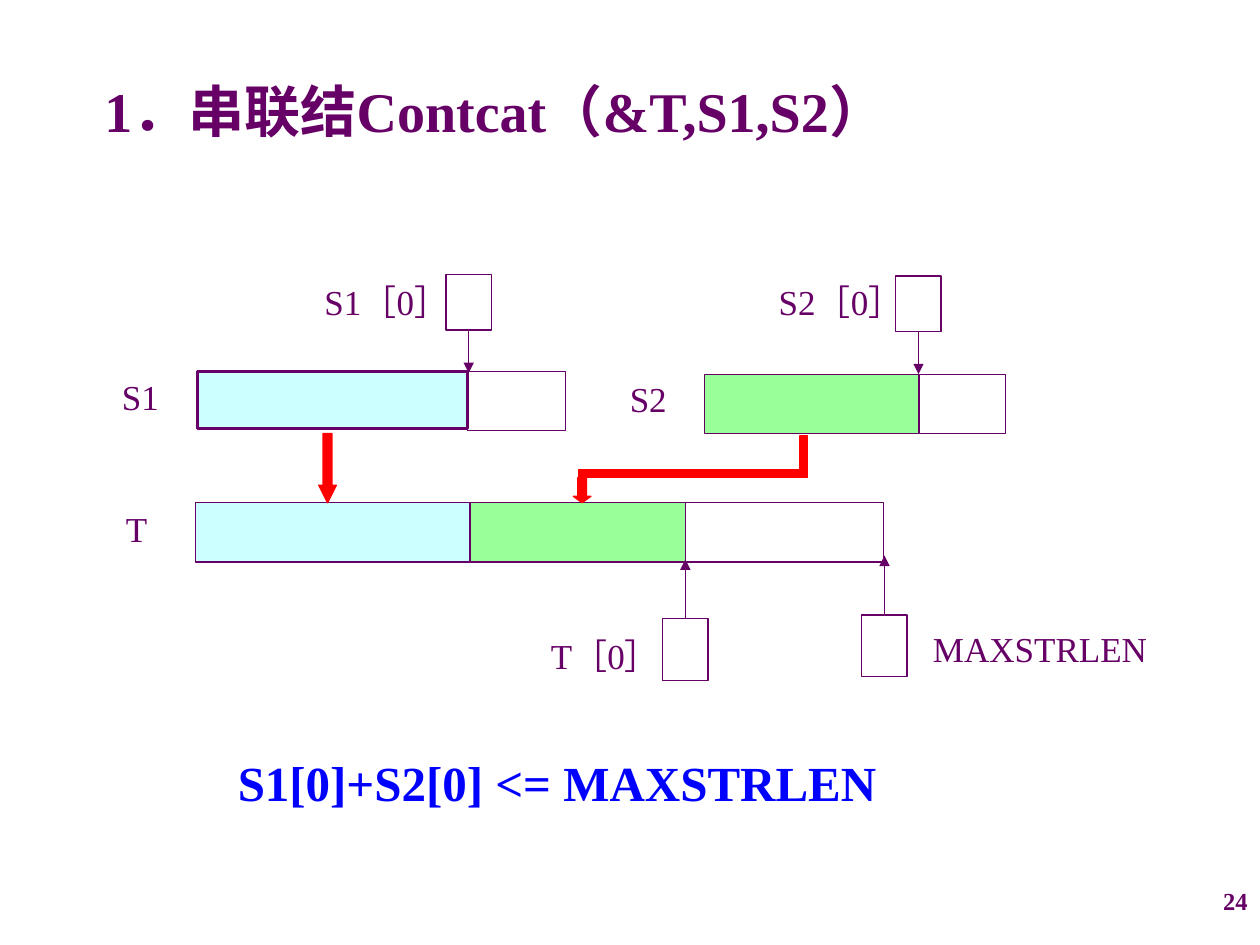
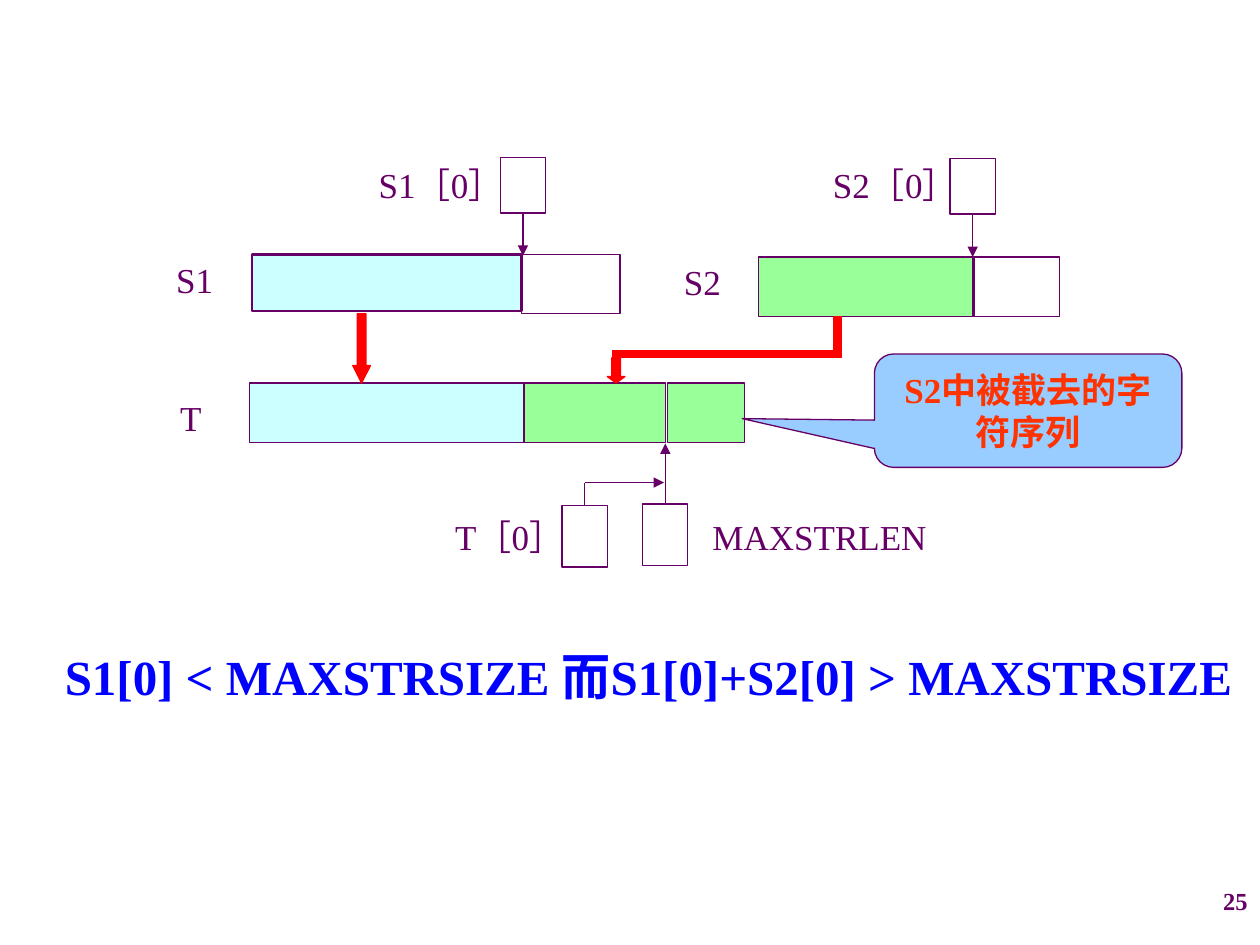
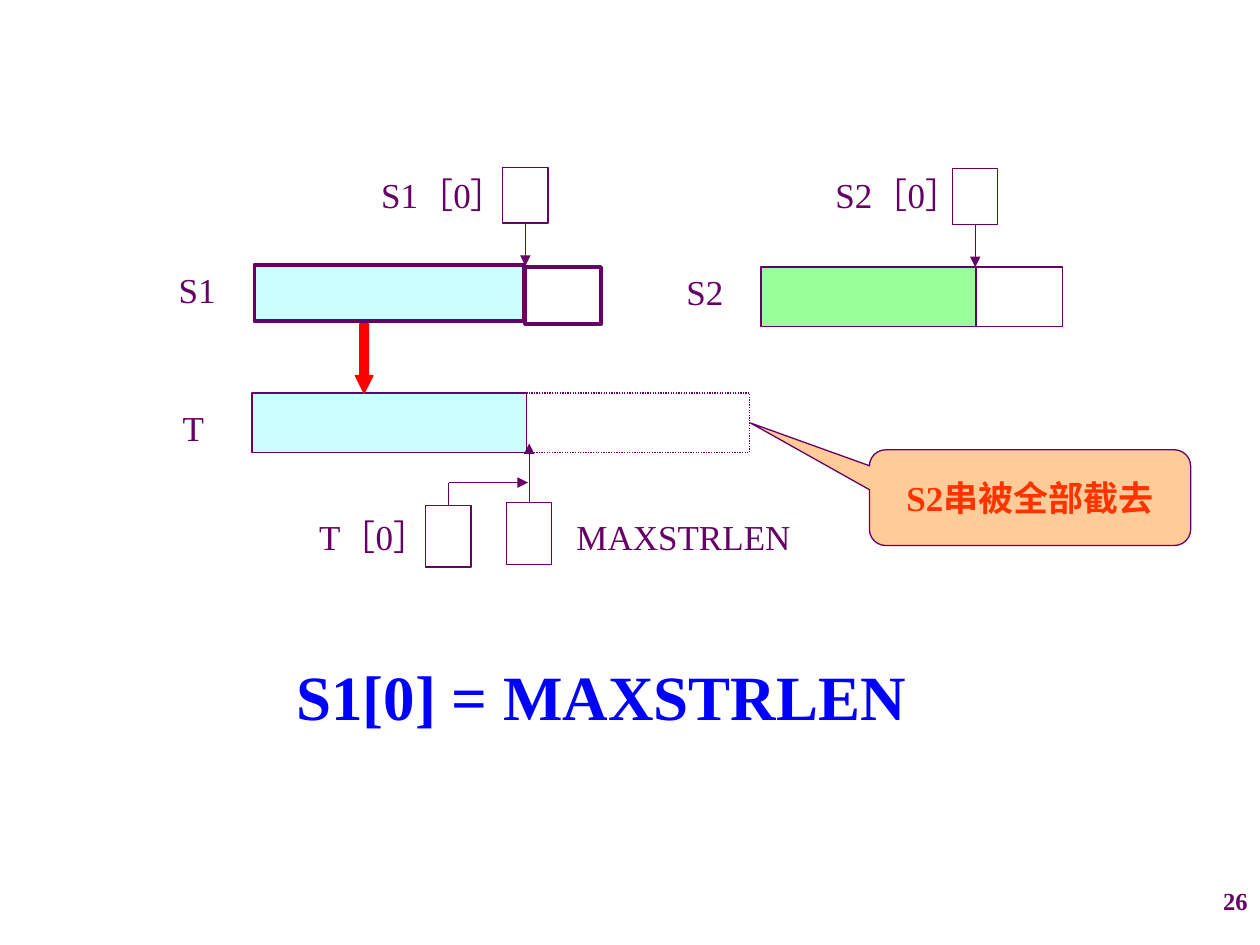
from pptx import Presentation
from pptx.dml.color import RGBColor
from pptx.enum.dml import MSO_LINE
from pptx.enum.shapes import MSO_CONNECTOR, MSO_SHAPE
from pptx.enum.text import MSO_ANCHOR, PP_ALIGN
from pptx.oxml.ns import qn
from pptx.util import Pt
from lxml import etree

PX = 9144
FONT = "Times New Roman"
PURPLE = RGBColor(0x66, 0x00, 0x66)
CYAN = RGBColor(0xCC, 0xFF, 0xFF)
GREEN = RGBColor(0x99, 0xFF, 0x99)
RED = RGBColor(0xFF, 0x00, 0x00)
BLUE = RGBColor(0x00, 0x00, 0xFF)
ORANGE = RGBColor(0xFF, 0x33, 0x00)
SKY = RGBColor(0x99, 0xCC, 0xFF)
PEACH = RGBColor(0xFF, 0xCC, 0x99)


def box(s, x, y, w, h, fill=None, width=0.75, kind=MSO_SHAPE.RECTANGLE, line=PURPLE, adj=()):
    sp = s.shapes.add_shape(kind, x * PX, y * PX, w * PX, h * PX)
    sp.shadow.inherit = False
    if fill is None:
        sp.fill.background()
    else:
        sp.fill.solid()
        sp.fill.fore_color.rgb = fill
    sp.line.color.rgb = line
    sp.line.width = Pt(width)
    for i, value in enumerate(adj):
        sp.adjustments[i] = value
    return sp


def write(sp, text, size=20, color=PURPLE, bold=False, align=PP_ALIGN.CENTER):
    tf = sp.text_frame
    tf.word_wrap = True
    p = tf.paragraphs[0]
    p.text = text
    p.alignment = align
    r = p.runs[0]
    r.font.name = FONT
    r.font.size = Pt(size)
    r.font.bold = bold
    r.font.color.rgb = color


prs = Presentation()
prs.slide_width = 1000 * PX
prs.slide_height = 750 * PX

# dx, dy move the S1 and S2 rows; the other values place the T row and its pointers.
cases = [
    dict(page="24", dx=0, dy=0, s1_width=1.5, spare=(371, 295, 78, 47), spare_width=0.75,
         t_x=155, t_y=399, t_label=398, t_bars=[(218, CYAN), (171, GREEN), (157, None)],
         arrow_x=253, elbow=True, t0=(544, 491, 410, 499), limit=(702, 488, 706, 493, 441),
         bent=False, formula=("S1[0]+S2[0] <= MAXSTRLEN", 145, 592, 594, 57, 28)),
    dict(page="25", dx=43, dy=-93, s1_width=1.5, spare=(414, 202, 78, 47), spare_width=0.75,
         t_x=198, t_y=304, t_label=310, t_bars=[(218, CYAN), (112, GREEN)],
         arrow_x=280, elbow=True, t0=(464, 401, 334, 404), limit=(528, 400, 531, 404, 352),
         bent=True,
         formula=("S1[0] < MAXSTRSIZE 而S1[0]+S2[0] > MAXSTRSIZE", 29, 508, 971, 57, 28)),
    dict(page="26", dx=45, dy=-85, s1_width=2.25, spare=(417, 212, 60, 45), spare_width=2.25,
         t_x=200, t_y=312, t_label=318, t_bars=[(218, CYAN)],
         arrow_x=282, elbow=False, t0=(356, 401, 226, 404), limit=(420, 399, 423, 404, 352),
         bent=True, formula=("S1[0] = MAXSTRLEN", 217, 517, 520, 70, 36)),
]

for c in cases:
    s = prs.slides.add_slide(prs.slide_layouts[6])
    dx, dy, t_y = c["dx"], c["dy"], c["t_y"]

    box(s, 157 + dx, 295 + dy, 214, 45, CYAN, c["s1_width"])
    box(s, *c["spare"], width=c["spare_width"])
    box(s, 559 + dx, 297 + dy, 171, 47, GREEN)
    box(s, 729 + dx, 297 + dy, 69, 47)

    x = c["t_x"]
    for w, fill in c["t_bars"]:
        box(s, x, t_y, w, 47, fill)
        x += w
    if c["page"] == "25":
        box(s, 530, t_y, 61, 47, GREEN)
    if c["page"] == "26":
        box(s, 418, t_y, 177, 47).line.dash_style = MSO_LINE.ROUND_DOT

    t0_x, t0_y, t0_label_x, t0_label_y = c["t0"]
    limit_x, limit_y, limit_label_x, limit_label_y, limit_tip = c["limit"]
    s1_cell = box(s, 354 + dx, 218 + dy, 36, 44)
    s2_cell = box(s, 711 + dx, 219 + dy, 36, 44)
    t0_cell = box(s, t0_x - 18, t0_y, 36, 49)
    limit_cell = box(s, limit_x - 18, limit_y, 36, 49)

    lines = [
        (s1_cell, 2, 372 + dx, 262 + dy, 372 + dx, 296 + dy, True),
        (s2_cell, 2, 729 + dx, 263 + dy, 729 + dx, 297 + dy, True),
        (limit_cell, 0, limit_x, limit_y, limit_x, limit_tip, True),
    ]
    if c["bent"]:
        lines += [(t0_cell, 0, t0_x, t0_y, t0_x, 383, False),
                  (None, 0, t0_x, 383, limit_x - 1, 383, True)]
    else:
        lines.append((t0_cell, 0, t0_x, t0_y, t0_x, 444, True))
    for cell, side, x1, y1, x2, y2, head in lines:
        cn = s.shapes.add_connector(MSO_CONNECTOR.STRAIGHT, x1 * PX, y1 * PX, x2 * PX, y2 * PX)
        if cell is not None:
            cn.begin_connect(cell, side)
        cn.line.color.rgb = PURPLE
        cn.line.width = Pt(0.75)
        if head:
            ln = cn.line._get_or_add_ln()
            etree.SubElement(ln, qn("a:tailEnd"), type="triangle")
        etree.SubElement(cn._element.spPr, qn("a:effectLst"))

    arrow_x = c["arrow_x"]
    box(s, arrow_x, t_y - 55, 14, 55, RED, kind=MSO_SHAPE.DOWN_ARROW, line=RED, adj=(0.5, 0.99))
    if c["elbow"]:
        box(s, arrow_x + 202, t_y - 20, 14, 20, RED, kind=MSO_SHAPE.DOWN_ARROW, line=RED,
            adj=(0.5, 0.36))
        box(s, arrow_x + 206, t_y - 26, 180, 6, RED, line=RED)
        box(s, arrow_x + 382, t_y - 53, 6, 33, RED, line=RED)

    labels = [
        ("S1", 82 + dx, 293 + dy, 59, 44),
        ("S2", 480 + dx, 295 + dy, 69, 44),
        ("T", 82 + dx, c["t_label"], 53, 44),
        ("S1［0］", 243 + dx, 218 + dy, 128, 77),
        ("S2［0］", 602 + dx, 218 + dy, 131, 77),
        ("T［0］", t0_label_x, t0_label_y, 141, 44),
        ("MAXSTRLEN", limit_label_x, limit_label_y, 239, 44),
        (*c["formula"], BLUE, True),
        (c["page"], 767, 698, 233, 52, 14, PURPLE, True, PP_ALIGN.RIGHT),
    ]
    if c["page"] == "24":
        labels.append(("1．串联结Contcat（&T,S1,S2）", 73, 56, 660, 117, 32, PURPLE, True,
                       PP_ALIGN.LEFT))
    for text, x, y, w, h, *style in labels:
        write(s.shapes.add_textbox(x * PX, y * PX, w * PX, h * PX), text, *style)

callouts = [
    (1, "S2中被截去的字符序列", 694, 281, 244, 90, SKY, (-0.93, 0.07, 0.17)),
    (2, "S2串被全部截去", 690, 357, 255, 76, PEACH, (-0.87, -0.78, 0.17)),
]
for index, text, x, y, w, h, fill, adj in callouts:
    sp = box(prs.slides[index], x, y, w, h, fill,
             kind=MSO_SHAPE.ROUNDED_RECTANGULAR_CALLOUT, adj=adj)
    sp.text_frame.vertical_anchor = MSO_ANCHOR.MIDDLE
    write(sp, text, 20, ORANGE, True)

prs.save("out.pptx")
